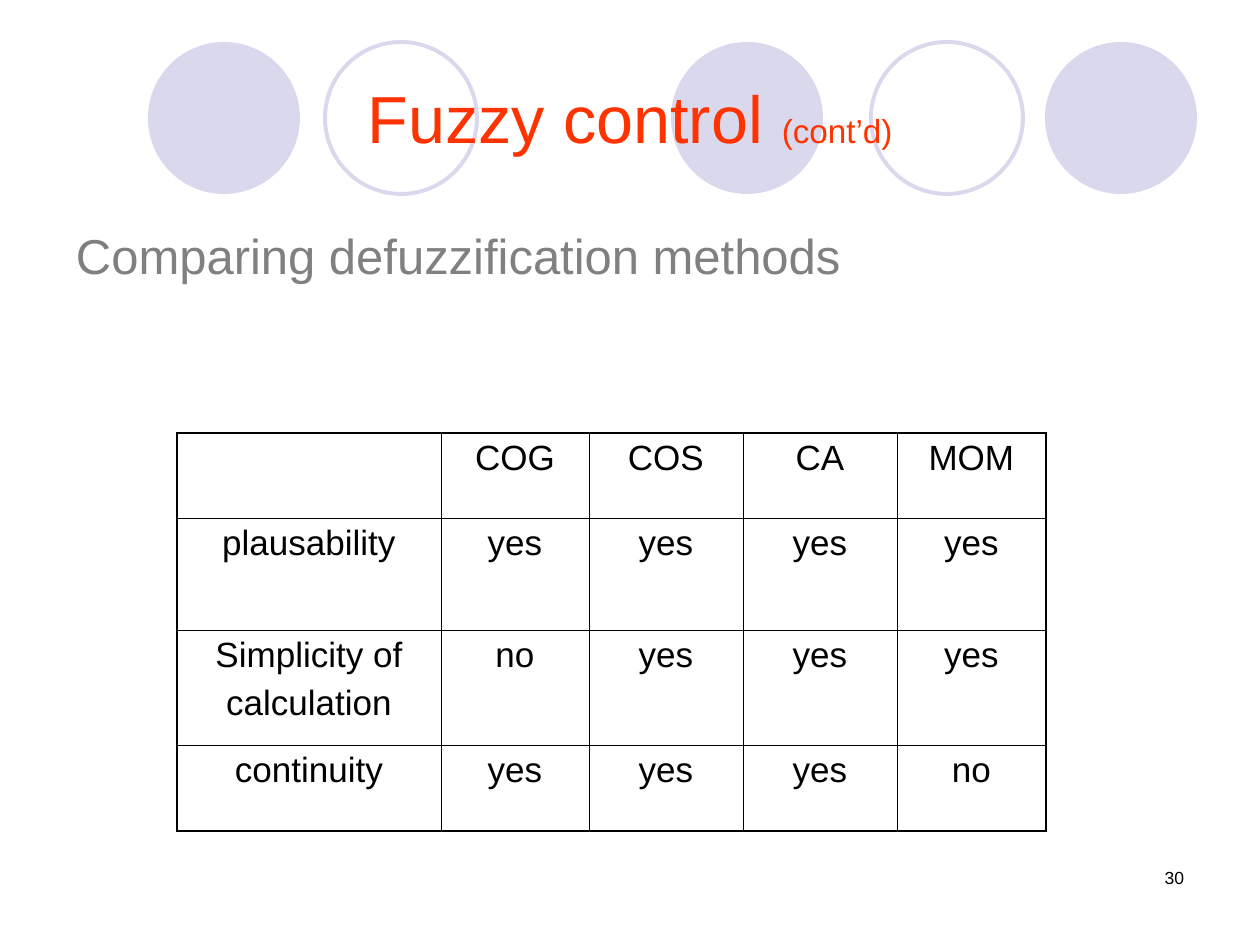
from lxml import etree
from pptx import Presentation, util as u
from pptx.dml.color import RGBColor
from pptx.enum import shapes, text
from pptx.oxml.ns import qn

PX = 914400 / 126
LILAC, ORANGE, GREY, BLACK = "D9D8EC", "FF3300", "808080", "000000"
LEFT, CENTER, RIGHT = text.PP_ALIGN.LEFT, text.PP_ALIGN.CENTER, text.PP_ALIGN.RIGHT
TOP, MIDDLE = text.MSO_ANCHOR.TOP, text.MSO_ANCHOR.MIDDLE


def px(length):
    return u.Emu(round(length * PX))


def color(value):
    return RGBColor.from_string(value)


def assign(target, values):
    for name, value in values.items():
        setattr(target, name, value)


class SlideBuilder:
    font = "Arial"
    insets = {"margin_left": px(13), "margin_right": px(13),
              "margin_top": px(6), "margin_bottom": px(6)}

    def __init__(self, slide):
        self.slide = slide

    def circle(self, left, top, size, filled):
        circle = self.slide.shapes.add_shape(
            shapes.MSO_SHAPE.OVAL, px(left), px(top), px(size), px(size))
        circle.shadow.inherit = False
        if filled:
            circle.fill.solid()
            circle.fill.fore_color.rgb = color(LILAC)
            circle.line.fill.background()
        else:
            circle.fill.background()
            circle.line.color.rgb = color(LILAC)
            circle.line.width = u.Pt(2.25)

    def paragraph(self, paragraph, runs, hue, align, before=0):
        assign(paragraph, {"alignment": align, "space_before": u.Pt(before)})
        for words, size in runs:
            run = paragraph.add_run()
            run.text = words
            assign(run.font, {"name": self.font, "size": u.Pt(size)})
            run.font.color.rgb = color(hue)

    def textbox(self, box, runs, hue, align=LEFT, anchor=TOP, before=0):
        frame = self.slide.shapes.add_textbox(*map(px, box)).text_frame
        assign(frame, {"word_wrap": True, "vertical_anchor": anchor, **self.insets})
        self.paragraph(frame.paragraphs[0], runs, hue, align, before)

    def border(self, cell, side, width):
        line = etree.SubElement(cell._tc.get_or_add_tcPr(), qn(f"a:ln{side}"),
                                w=str(u.Pt(width)))
        fill = etree.SubElement(line, qn("a:solidFill"))
        etree.SubElement(fill, qn("a:srgbClr"), val=BLACK)

    def table(self, left, top, widths, heights, rows):
        grid = self.slide.shapes.add_table(
            len(heights), len(widths), px(left), px(top),
            px(sum(widths)), px(sum(heights))).table
        assign(grid, {"first_row": False, "horz_banding": False})
        for column, width in zip(grid.columns, widths):
            column.width = px(width)
        for row, height in zip(grid.rows, heights):
            row.height = px(height)
        last_row, last_column = len(heights) - 1, len(widths) - 1
        for r, row in enumerate(rows):
            for c, words in enumerate(row):
                cell = grid.cell(r, c)
                assign(cell, self.insets)
                outer = {"L": c == 0, "R": c == last_column,
                         "T": r == 0, "B": r == last_row}
                for side, is_outer in outer.items():
                    self.border(cell, side, 1.08 if is_outer else 0.45)
                cell.fill.background()
                frame = cell.text_frame
                for n, line in enumerate(words.splitlines()):
                    paragraph = frame.add_paragraph() if n else frame.paragraphs[0]
                    self.paragraph(paragraph, [(line, 20)], BLACK, CENTER, before=5)


def main():
    deck = Presentation()
    assign(deck, {"slide_width": px(1260), "slide_height": px(945)})
    builder = SlideBuilder(deck.slides.add_slide(deck.slide_layouts[6]))

    for left, filled in [(671, True), (1045, True), (148, True),
                         (871, False), (325, False)]:
        builder.circle(left, 42, 152, filled)

    builder.textbox((63, 38, 1134, 157), [("Fuzzy control ", 38), ("(cont’d)", 19)],
                    ORANGE, CENTER, MIDDLE)
    builder.textbox((63, 220, 1063, 163), [("Comparing defuzzification methods", 28)],
                    GREY, before=7)
    builder.table(177, 433, [264, 148, 154, 154, 149], [85, 112, 115, 86], [
        ["", "COG", "COS", "CA", "MOM"],
        ["plausability", "yes", "yes", "yes", "yes"],
        ["Simplicity of\ncalculation", "no", "yes", "yes", "yes"],
        ["continuity", "yes", "yes", "yes", "no"],
    ])
    builder.textbox((903, 861, 294, 63), [("30", 10)], BLACK, RIGHT)

    deck.save("out.pptx")


if __name__ == "__main__":
    main()
